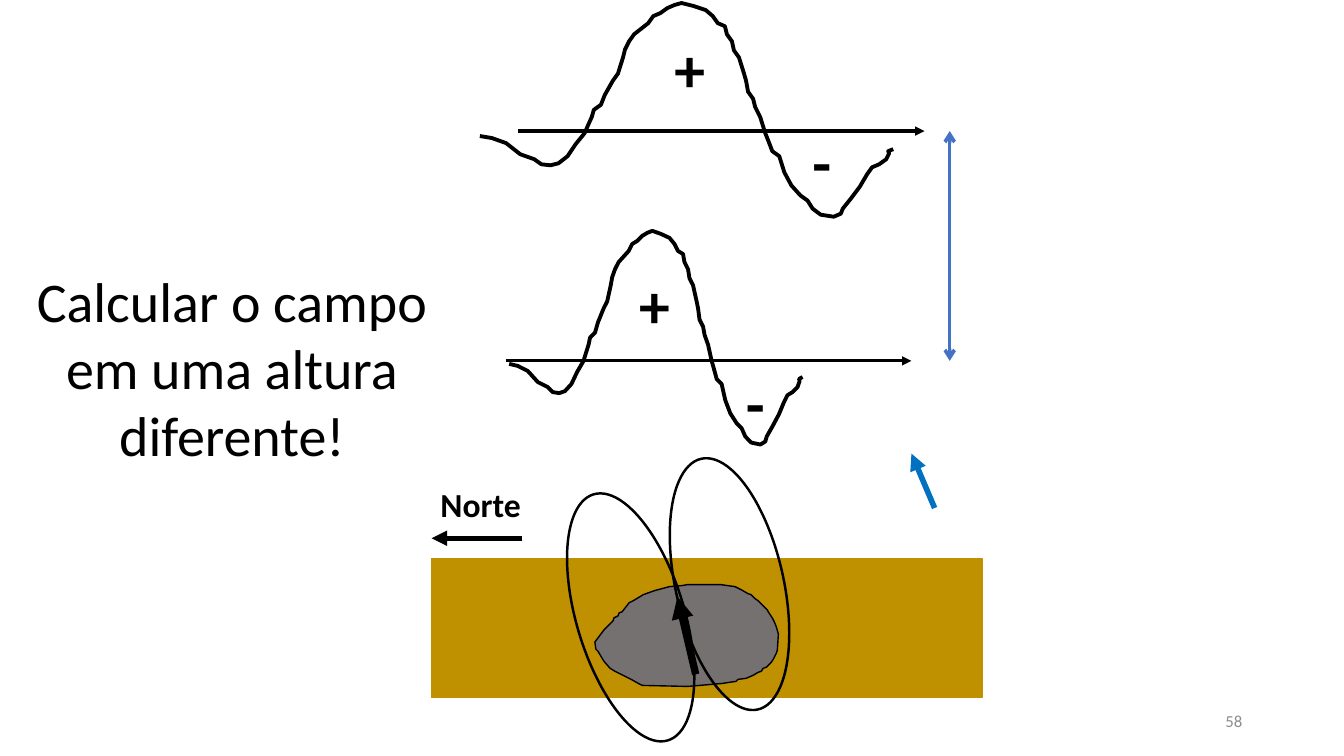
from lxml import etree
from pptx import Presentation
from pptx.dml.color import RGBColor
from pptx.enum.shapes import MSO_CONNECTOR as Connector, MSO_SHAPE as Shape
from pptx.enum.text import MSO_ANCHOR as Anchor, MSO_AUTO_SIZE as AutoSize, PP_ALIGN as Align
from pptx.oxml.ns import qn
from pptx.util import Inches, Pt

COLORS = {
    "black": "000000",
    "soil": "BF9000",
    "body": "767171",
    "field": "0070C0",
    "height": "4472C4",
    "number": "8C8C8C",
}

# Anomaly profile at the upper height, in inches
PROFILE = [
    (4.76, 1.35), (4.88, 1.37), (5.02, 1.42), (5.16, 1.53), (5.30, 1.58),
    (5.37, 1.63), (5.46, 1.64), (5.54, 1.62), (5.63, 1.55), (5.71, 1.43),
    (5.80, 1.32), (5.83, 1.25), (5.87, 1.16), (5.89, 1.09), (5.96, 1.04),
    (6.00, 0.94), (6.08, 0.80), (6.13, 0.73), (6.18, 0.57), (6.20, 0.49),
    (6.24, 0.41), (6.29, 0.34), (6.43, 0.23), (6.48, 0.16), (6.55, 0.13),
    (6.62, 0.08), (6.69, 0.05), (6.76, 0.03), (6.88, 0.06), (7.00, 0.10),
    (7.07, 0.16), (7.12, 0.23), (7.19, 0.26), (7.21, 0.34), (7.26, 0.41),
    (7.28, 0.50), (7.33, 0.57), (7.38, 0.73), (7.40, 0.80), (7.42, 0.91),
    (7.47, 0.98), (7.49, 1.06), (7.54, 1.16), (7.59, 1.32), (7.63, 1.42),
    (7.66, 1.50), (7.73, 1.55), (7.78, 1.71), (7.85, 1.84), (7.94, 1.94),
    (8.01, 1.99), (8.06, 2.07), (8.14, 2.13), (8.27, 2.15), (8.34, 2.12),
    (8.36, 2.07), (8.44, 1.97), (8.53, 1.85), (8.60, 1.73), (8.65, 1.66),
    (8.72, 1.63), (8.79, 1.58), (8.82, 1.52), (8.81, 1.50), (8.86, 1.48),
]

# Outline of the buried body
BODY = [
    (5.90, 6.37), (5.96, 6.29), (5.99, 6.25), (6.01, 6.23), (6.08, 6.16),
    (6.09, 6.13), (6.13, 6.11), (6.14, 6.08), (6.17, 6.07), (6.24, 5.98),
    (6.28, 5.96), (6.38, 5.90), (6.49, 5.86), (6.64, 5.82), (6.76, 5.81),
    (6.82, 5.80), (7.15, 5.80), (7.29, 5.82), (7.35, 5.85), (7.42, 5.89),
    (7.45, 5.90), (7.49, 5.94), (7.52, 5.96), (7.57, 6.01), (7.61, 6.05),
    (7.62, 6.07), (7.66, 6.13), (7.68, 6.17), (7.70, 6.22), (7.72, 6.29),
    (7.71, 6.45), (7.70, 6.48), (7.67, 6.54), (7.65, 6.57), (7.60, 6.62),
    (7.57, 6.63), (7.55, 6.66), (7.52, 6.67), (7.47, 6.70), (7.40, 6.73),
    (7.32, 6.74), (7.30, 6.76), (7.23, 6.77), (7.17, 6.78), (6.94, 6.80),
    (6.82, 6.81), (6.37, 6.80), (6.33, 6.78), (6.26, 6.74), (6.16, 6.69),
    (6.10, 6.66), (6.05, 6.63), (5.99, 6.56), (5.93, 6.46), (5.91, 6.44),
]


def color(name):
    return RGBColor.from_string(COLORS[name])


def style_shape(shape, line, width, fill=None):
    shape.shadow.inherit = False
    if fill:
        shape.fill.solid()
        shape.fill.fore_color.rgb = color(fill)
    else:
        shape.fill.background()
    shape.line.color.rgb = color(line)
    shape.line.width = Pt(width)


def add_preset(page, kind, place, line, width, fill=None, rotation=0):
    shape = page.shapes.add_shape(kind, *map(Inches, place))
    style_shape(shape, line, width, fill)
    shape.rotation = rotation


def add_outline(page, points, width, fill=None):
    corners = [(Inches(x), Inches(y)) for x, y in points]
    builder = page.shapes.build_freeform(*corners[0])
    builder.add_line_segments(corners[1:], close=fill is not None)
    style_shape(builder.convert_to_shape(), "black", width, fill)


def add_arrow(page, start, end, width, line="black", ends=None):
    arrow = page.shapes.add_connector(Connector.STRAIGHT, *map(Inches, start + end))
    arrow.line.color.rgb = color(line)
    arrow.line.width = Pt(width)
    outline = arrow.line._get_or_add_ln()
    for tag, kind in (ends or {"a:tailEnd": "triangle"}).items():
        etree.SubElement(outline, qn(tag), type=kind)
    etree.SubElement(arrow._element.spPr, qn("a:effectLst"))


def format_text(box, text, size, ink="black", bold=False, align=Align.LEFT):
    frame = box.text_frame
    frame.text = text
    frame.word_wrap = True
    frame.auto_size = AutoSize.NONE
    frame.vertical_anchor = Anchor.TOP
    para = frame.paragraphs[0]
    para.alignment = align
    font = para.runs[0].font
    font.name, font.size, font.bold = "Calibri", Pt(size), bold
    font.color.rgb = color(ink)


def add_label(page, place, text, size, **style):
    box = page.shapes.add_textbox(*map(Inches, place))
    format_text(box, text, size, **style)
    return box


def add_title(page, place, text):
    title = page.shapes.title
    title.left, title.top, title.width, title.height = map(Inches, place)
    format_text(title, text, 40, align=Align.CENTER)


def add_profile(page, points, axis, plus, minus):
    add_arrow(page, *axis, 2.25)
    add_outline(page, points, 2.75)
    for sign, (left, top) in (("+", plus), ("-", minus)):
        add_label(page, (left, top, 0.42, 0.84), sign, 44, bold=True)


def main():
    deck = Presentation()
    deck.slide_width, deck.slide_height = Inches(13.33), Inches(7.5)
    page = deck.slides.add_slide(deck.slide_layouts[5])
    add_title(page, (-0.13, 2.59, 4.86, 2.12),
              "Calcular o campo em uma altura diferente!")
    number = add_label(page, (9.42, 6.95, 3, 0.4), "58", 12,
                       ink="number", align=Align.RIGHT)
    number.text_frame.vertical_anchor = Anchor.MIDDLE

    # Ground, buried body and its field lines
    add_preset(page, Shape.RECTANGLE, (4.28, 5.54, 5.46, 1.38), "soil", 1, "soil")
    add_arrow(page, (5.18, 5.34), (4.28, 5.34), 3.75)
    add_label(page, (4.27, 4.75, 1.16, 0.5), "Norte", 24, bold=True)
    add_outline(page, BODY, 1, "body")
    for left, top, rotation in ((5.72, 4.85, 163.2), (6.7, 4.52, 167.3)):
        add_preset(page, Shape.OVAL, (left, top, 1.07, 2.55), "black", 1.75,
                   rotation=rotation)
    add_arrow(page, (6.9, 6.69), (6.72, 5.92), 5.25)
    add_arrow(page, (9.27, 5.04), (9.04, 4.5), 4, "field")

    # The lower profile is the upper one, narrowed and moved down
    lower = [(5.05 + (x - 4.76) * 2.91 / 4.1, y + 2.26) for x, y in PROFILE]
    add_profile(page, lower, ((5.02, 3.58), (9.04, 3.58)), (6.24, 2.6), (7.3, 3.57))
    add_profile(page, PROFILE, ((5.14, 1.3), (9.17, 1.3)), (6.59, 0.26), (7.96, 1.18))

    # Height difference
    add_arrow(page, (9.42, 1.3), (9.42, 3.58), 2.5, "height",
              {"a:headEnd": "arrow", "a:tailEnd": "arrow"})
    deck.save("out.pptx")


if __name__ == "__main__":
    main()
